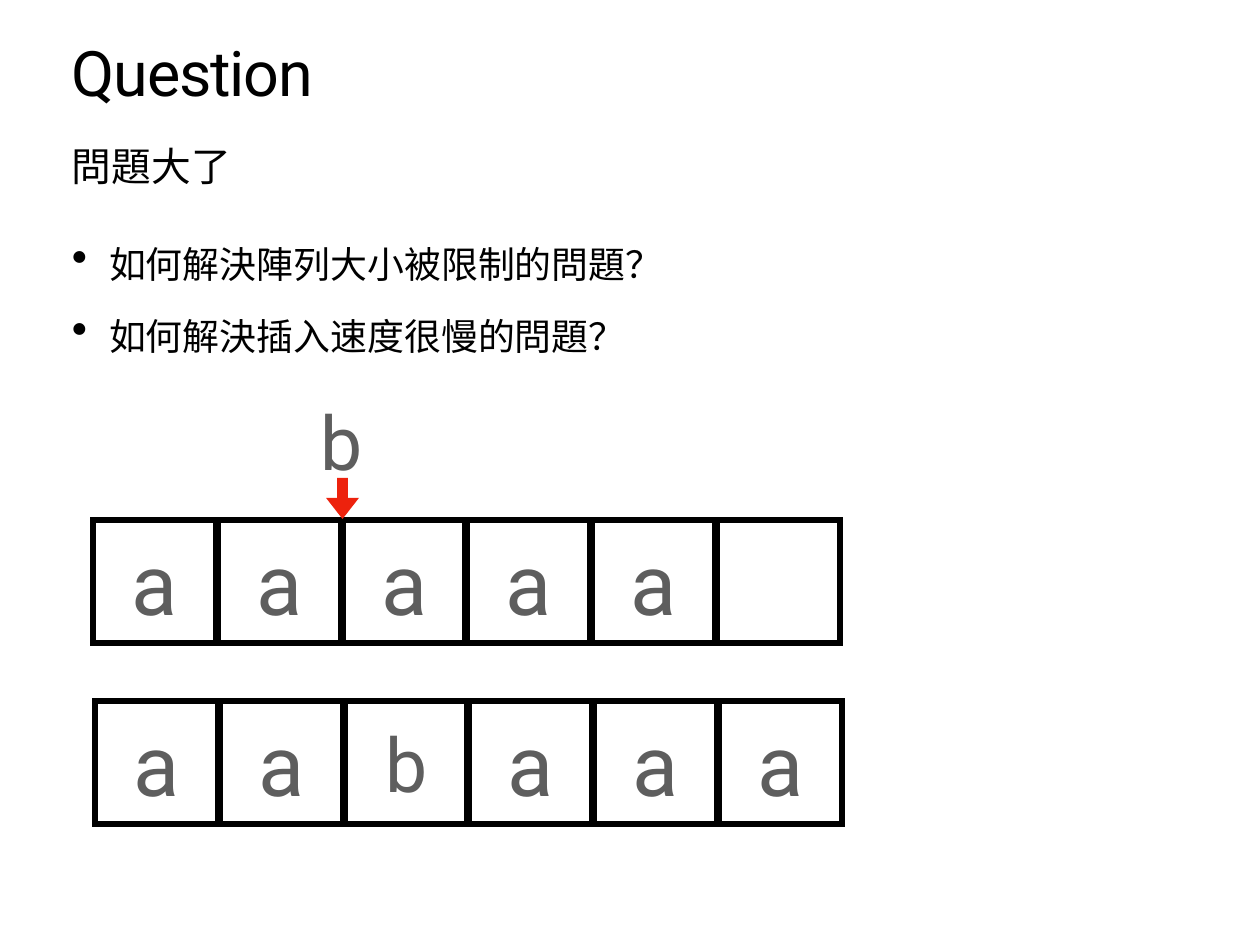
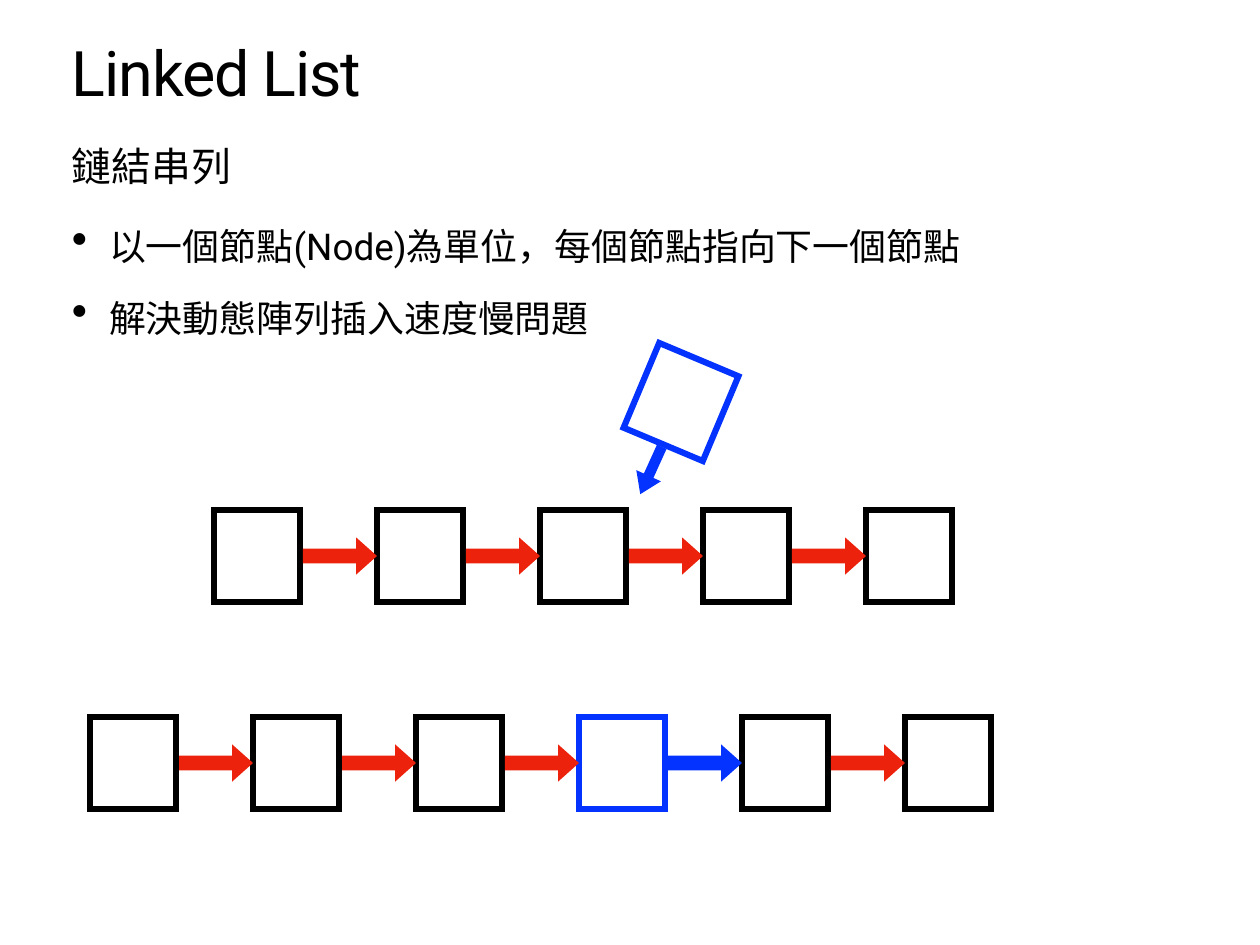
from lxml import etree
from pptx import Presentation
from pptx.dml.color import RGBColor
from pptx.enum.shapes import MSO_SHAPE
from pptx.enum.text import MSO_ANCHOR, MSO_AUTO_SIZE, PP_ALIGN
from pptx.oxml.ns import qn
from pptx.util import Emu, Pt

RECTANGLE = MSO_SHAPE.RECTANGLE
RIGHT_ARROW = MSO_SHAPE.RIGHT_ARROW
TOP, MIDDLE = MSO_ANCHOR.TOP, MSO_ANCHOR.MIDDLE
LEFT, CENTER = PP_ALIGN.LEFT, PP_ALIGN.CENTER
FIT_TEXT = MSO_AUTO_SIZE.SHAPE_TO_FIT_TEXT

BLACK = RGBColor(0x00, 0x00, 0x00)
GRAY = RGBColor(0x5E, 0x5E, 0x5E)
RED = RGBColor(0xED, 0x22, 0x0D)
BLUE = RGBColor(0x04, 0x33, 0xFF)

FONT = "Roboto"
EMU_PER_PIXEL = 914400 / 88.6
SLIDE_WIDTH, SLIDE_HEIGHT = 1260, 945
TEXT_LEFT, TEXT_WIDTH = 67, 1124
TEXT_INSET = 5
BULLET_INDENT = 37
CELL_SIZE = 123
LETTER_SIZES = {"a": 69, "b": 61}
NODE_WIDTH, NODE_HEIGHT, NODE_PITCH = 86, 92, 163
LINK_WIDTH, LINK_HEIGHT, LINK_GAP = 74, 37, 3


def px(length):
    """Turn pixels into EMU."""
    return Emu(round(length * EMU_PER_PIXEL))


def add_text(slide, box, lines, size, color=BLACK, align=LEFT, anchor=TOP, wrap=True):
    """Place a text box with one paragraph a line and return its paragraphs."""
    frame = slide.shapes.add_textbox(*map(px, box)).text_frame
    frame.margin_left = frame.margin_right = px(TEXT_INSET)
    frame.margin_top = frame.margin_bottom = px(TEXT_INSET)
    frame.word_wrap = wrap
    frame.vertical_anchor = anchor
    if not wrap:
        frame.auto_size = FIT_TEXT
    frame.text = "\n".join(lines)
    for paragraph in frame.paragraphs:
        paragraph.alignment = align
        for run in paragraph.runs:
            run.font.name = FONT
            run.font.size = Pt(size)
            run.font.color.rgb = color
    return frame.paragraphs


def add_heading(slide, title, subtitle):
    """Write the title and the subtitle at the top of a slide."""
    paragraph = add_text(slide, (TEXT_LEFT, 43, TEXT_WIDTH, 98), [title], 51)[0]
    paragraph.line_spacing = 0.8
    paragraph.runs[0].font._element.set("spc", "-100")
    add_text(slide, (TEXT_LEFT, 137, TEXT_WIDTH, 65), [subtitle], 32.3)


def add_bullets(slide, top, height, lines):
    """Write a bulleted list across the slide."""
    for paragraph in add_text(slide, (TEXT_LEFT, top, TEXT_WIDTH, height), lines, 30):
        paragraph.line_spacing = 0.82
        paragraph.space_before = Pt(29)
        properties = paragraph._p.get_or_add_pPr()
        properties.set("marL", str(px(BULLET_INDENT)))
        properties.set("indent", str(-px(BULLET_INDENT)))
        etree.SubElement(properties, qn("a:buSzPct"), val="123000")
        etree.SubElement(properties, qn("a:buChar"), char="•")


def add_square(slide, box, color=BLACK, rotation=0):
    """Draw an unfilled box with a thick, sharp-cornered outline."""
    shape = slide.shapes.add_shape(RECTANGLE, *map(px, box))
    shape.shadow.inherit = False
    shape.rotation = rotation
    shape.fill.background()
    shape.line.color.rgb = color
    shape.line.width = Pt(5)
    outline = shape._element.spPr.find(qn("a:ln"))
    etree.SubElement(outline, qn("a:miter"), lim="400000")


def add_arrow(slide, box, color, adjustments, rotation=0):
    """Draw a solid block arrow."""
    shape = slide.shapes.add_shape(RIGHT_ARROW, *map(px, box))
    shape.shadow.inherit = False
    shape.rotation = rotation
    shape.fill.solid()
    shape.fill.fore_color.rgb = color
    shape.line.fill.background()
    for index, value in enumerate(adjustments):
        shape.adjustments[index] = value


def add_letter(slide, center_x, center_y, letter):
    """Write one large letter around a centre point."""
    width, height = 56, 128
    box = (center_x - width / 2, center_y - height / 2, width, height)
    add_text(slide, box, [letter], LETTER_SIZES[letter], GRAY, CENTER, MIDDLE, wrap=False)


def add_array(slide, left, top, width, letters):
    """Draw a row of six cells over the given width, with a letter in each used one."""
    cell_count = 6
    pitch = (width - CELL_SIZE) / (cell_count - 1)
    for index in range(cell_count):
        add_square(slide, (left + index * pitch, top, CELL_SIZE, CELL_SIZE))
    for index, letter in enumerate(letters):
        center_x = left + index * pitch + CELL_SIZE / 2
        add_letter(slide, center_x, top + CELL_SIZE / 2, letter)


def add_linked_list(slide, left, top, node_count, inserted=None):
    """Draw a chain of nodes; the inserted node and its link are blue."""
    for index in range(node_count):
        color = BLUE if index == inserted else BLACK
        add_square(slide, (left + index * NODE_PITCH, top, NODE_WIDTH, NODE_HEIGHT), color)
    link_top = top + (NODE_HEIGHT - LINK_HEIGHT) / 2
    for index in range(node_count - 1):
        color = BLUE if index == inserted else RED
        link_left = left + index * NODE_PITCH + NODE_WIDTH + LINK_GAP
        add_arrow(slide, (link_left, link_top, LINK_WIDTH, LINK_HEIGHT), color, (0.4, 0.56))


def build_question(slide):
    """Show an insertion into an array, before and after."""
    add_bullets(slide, 244, 170, ["如何解決陣列大小被限制的問題？", "如何解決插入速度很慢的問題？"])
    add_heading(slide, "Question", "問題大了")
    add_array(slide, 93, 520, 747, "aaaaa")
    add_arrow(slide, (322, 482, 41, 33), RED, (0.32, 0.64), rotation=90)
    add_letter(slide, 342, 440, "b")
    add_array(slide, 95, 701, 747, "aabaaa")


def build_linked_list(slide):
    """Show an insertion into a linked list, before and after."""
    add_bullets(slide, 226, 175, ["以一個節點(Node)為單位，每個節點指向下一個節點", "解決動態陣列插入速度慢問題"])
    add_heading(slide, "Linked List", "鏈結串列")
    add_linked_list(slide, 214, 510, 5)
    add_square(slide, (638, 356, NODE_WIDTH, NODE_HEIGHT), BLUE, rotation=22.8)
    add_arrow(slide, (625, 457, 52, 27), BLUE, (0.39, 0.75), rotation=114.4)
    add_linked_list(slide, 90, 717, 6, inserted=3)


def main():
    """Build and save the presentation."""
    presentation = Presentation()
    presentation.slide_width = px(SLIDE_WIDTH)
    presentation.slide_height = px(SLIDE_HEIGHT)
    blank_layout = presentation.slide_layouts[6]
    for build in (build_question, build_linked_list):
        build(presentation.slides.add_slide(blank_layout))
    presentation.save("out.pptx")


main()
